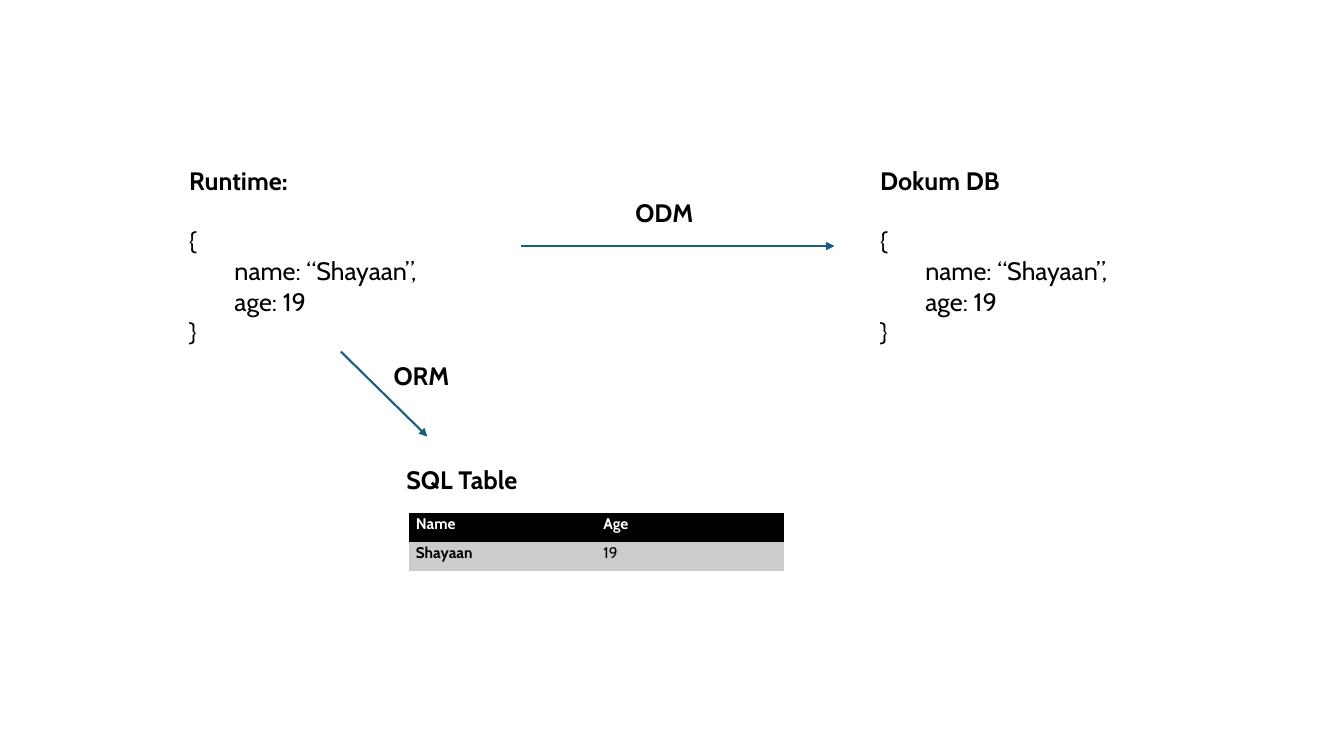
"""Build a slide that contrasts ODM and ORM mappings of one object."""
from dataclasses import dataclass

from lxml import etree
from pptx import Presentation
from pptx.dml.color import RGBColor
from pptx.enum.shapes import MSO_CONNECTOR
from pptx.enum.text import MSO_AUTO_SIZE
from pptx.oxml.ns import qn
from pptx.util import Cm, Pt

STRAIGHT = MSO_CONNECTOR.STRAIGHT
GROW = MSO_AUTO_SIZE.SHAPE_TO_FIT_TEXT
FONT = "Cabin"
BLACK, WHITE, GRAY, BLUE = "000000", "FFFFFF", "CCCCCC", "156082"
NO_GRID_STYLE = "{2D5ABB26-0587-4C30-8999-92F81FD0307C}"
FIELD_INDENT = Cm(1.14)
TITLE_GAP = Pt(21.6)


@dataclass
class Line:
    text: str
    indented: bool = False


@dataclass
class Label:
    title: str
    left: float
    top: float
    width: float
    height: float
    body: tuple[Line, ...] = ()


@dataclass
class Arrow:
    x1: float
    y1: float
    x2: float
    y2: float


OBJECT = (
    Line("{"),
    Line("name: “Shayaan”,", True),
    Line("age: 19", True),
    Line("}"),
)
LABELS = [
    Label("Runtime:", 4.52, 4.03, 8.03, 4.88, OBJECT),
    Label("Dokum DB", 21.93, 4.03, 9.73, 5.64, OBJECT),
    Label("ODM", 15.76, 4.84, 3.38, 1.02),
    Label("SQL Table", 9.99, 11.58, 10.49, 2.57),
    Label("ORM", 9.67, 8.96, 3.38, 1.02),
]
ARROWS = [Arrow(13.13, 6.2, 21.03, 6.2), Arrow(8.59, 8.86, 10.77, 11)]
ROWS = [("Name", "Age"), ("Shayaan", "19")]


def rgb(value: str) -> RGBColor:
    return RGBColor.from_string(value)


def style(p, size: float, bold: bool, color: str = BLACK) -> None:
    p.font.name = FONT
    p.font.size = Pt(size)
    p.font.bold = bold
    p.font.color.rgb = rgb(color)


def add_label(s, label: Label) -> None:
    sp = s.shapes.add_textbox(
        Cm(label.left), Cm(label.top), Cm(label.width), Cm(label.height))
    tf = sp.text_frame
    tf.word_wrap = True
    tf.auto_size = GROW
    p = tf.paragraphs[0]
    p.text = label.title
    style(p, 18, True)
    if label.body:
        p.space_after = TITLE_GAP
    for line in label.body:
        p = tf.add_paragraph()
        p.text = line.text
        style(p, 18, False)
        if line.indented:
            p._p.get_or_add_pPr().set("marL", str(FIELD_INDENT))


def add_arrow(s, arrow: Arrow) -> None:
    sp = s.shapes.add_connector(
        STRAIGHT, Cm(arrow.x1), Cm(arrow.y1), Cm(arrow.x2), Cm(arrow.y2))
    sp.line.color.rgb = rgb(BLUE)
    sp.line.width = Pt(1.5)
    etree.SubElement(sp.line._get_or_add_ln(), qn("a:tailEnd"), type="triangle")
    etree.SubElement(sp._element.spPr, qn("a:effectLst"))


def add_sql_table(s) -> None:
    table = s.shapes.add_table(
        len(ROWS), len(ROWS[0]), Cm(10.3), Cm(12.93), Cm(9.45), Cm(1.47)).table
    table._tbl.tblPr.find(qn("a:tableStyleId")).text = NO_GRID_STYLE
    for i, row in enumerate(ROWS):
        for j, text in enumerate(row):
            cell = table.cell(i, j)
            cell.fill.solid()
            cell.fill.fore_color.rgb = rgb(GRAY if i else BLACK)
            cell.margin_left = cell.margin_right = Cm(0.18)
            cell.margin_top = cell.margin_bottom = 0
            p = cell.text_frame.paragraphs[0]
            p.text = text
            p.line_spacing = 1.07
            style(p, 11, i == 0 or j == 0, BLACK if i else WHITE)


def main() -> None:
    prs = Presentation()
    prs.slide_width, prs.slide_height = Cm(33.87), Cm(19.05)
    s = prs.slides.add_slide(prs.slide_layouts[6])
    for label in LABELS:
        add_label(s, label)
    for arrow in ARROWS:
        add_arrow(s, arrow)
    add_sql_table(s)
    prs.save("out.pptx")


if __name__ == "__main__":
    main()
